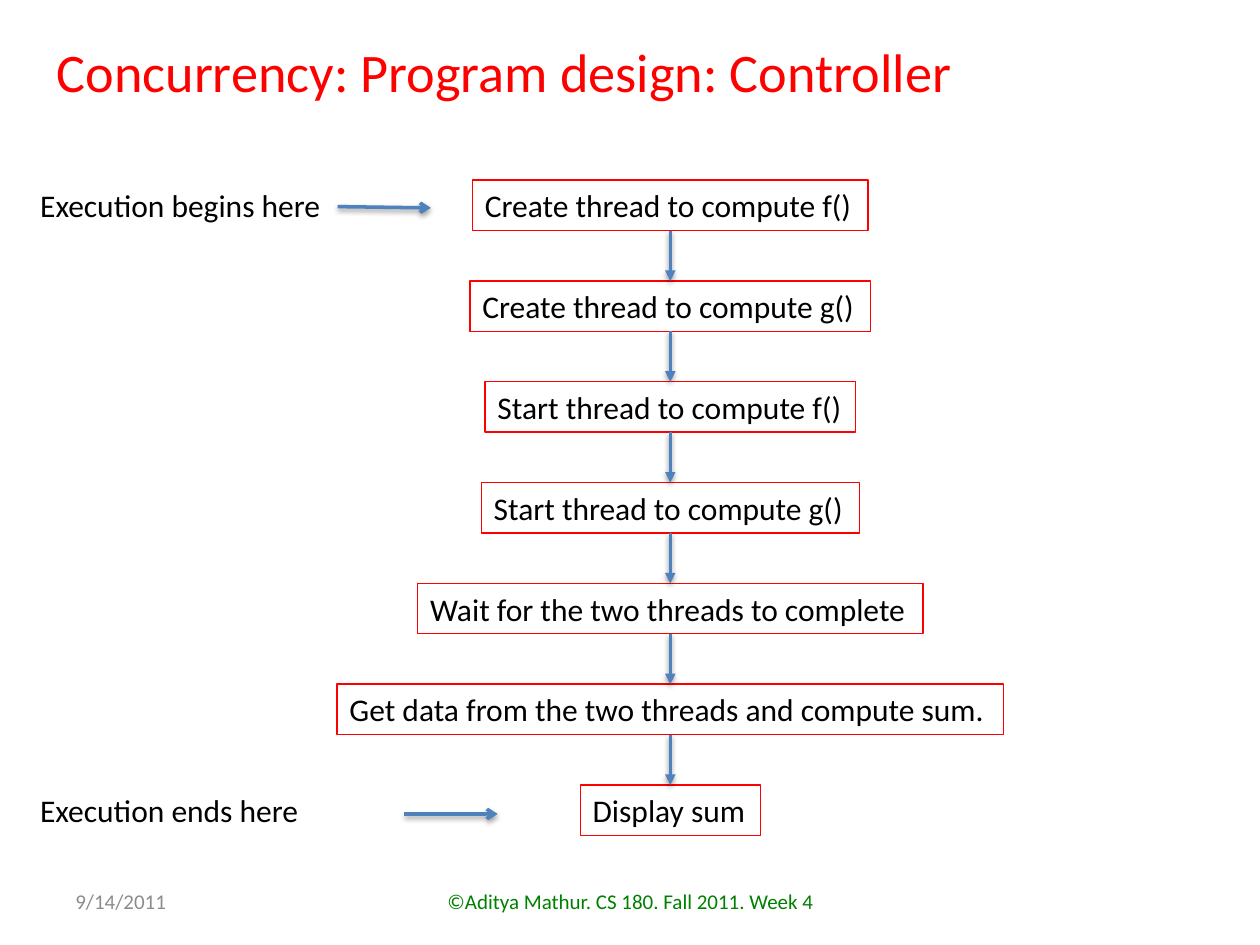
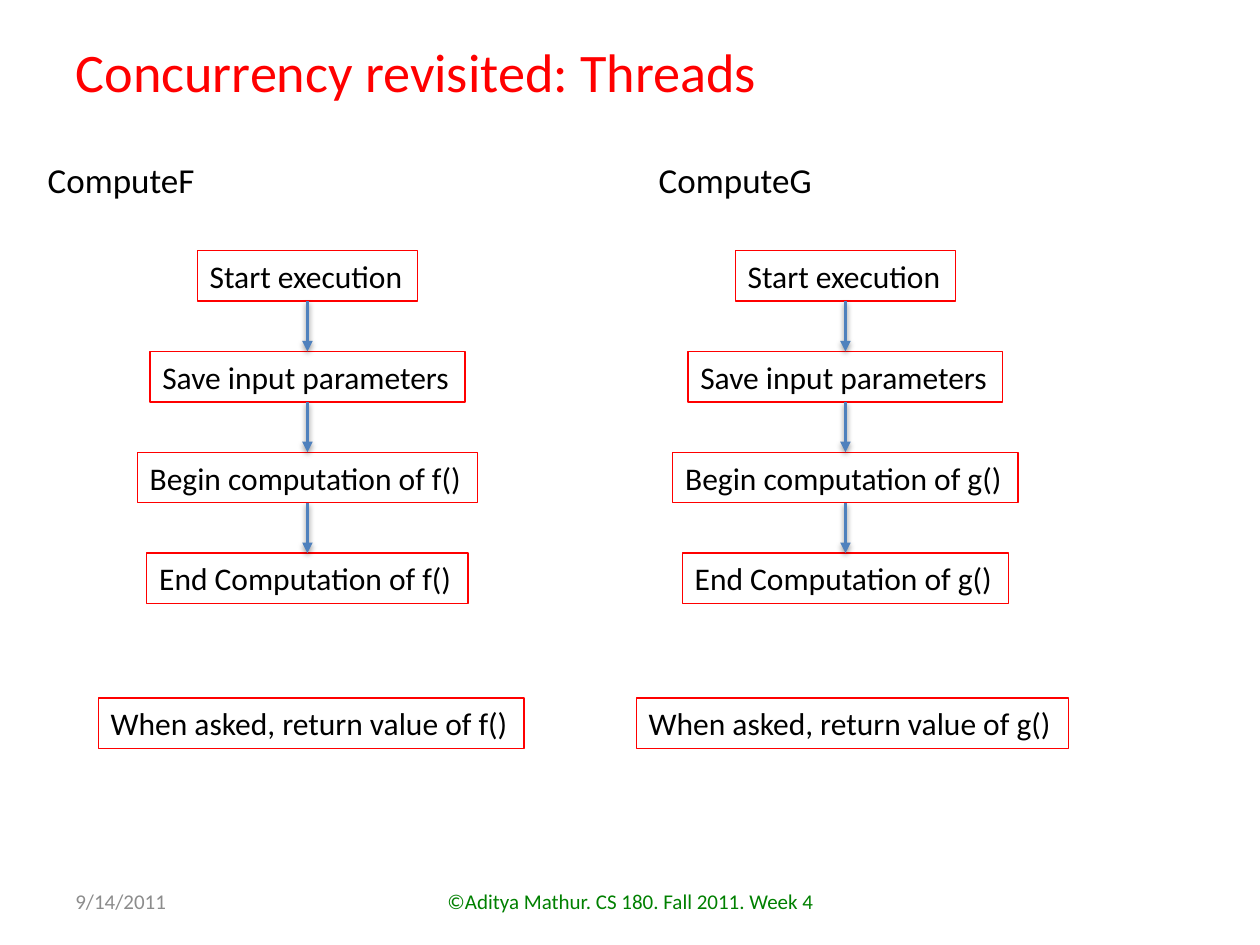
from lxml import etree
from pptx import Presentation
from pptx.dml.color import RGBColor
from pptx.enum.shapes import MSO_CONNECTOR
from pptx.enum.text import MSO_ANCHOR, PP_ALIGN
from pptx.oxml import parse_xml
from pptx.oxml.ns import nsdecls, qn
from pptx.util import Inches, Pt

RED = RGBColor(0xFF, 0x00, 0x00)
BLACK = RGBColor(0x00, 0x00, 0x00)
GRAY = RGBColor(0x8C, 0x8C, 0x8C)
GREEN = RGBColor(0x00, 0x80, 0x00)
BLUE = RGBColor(0x4F, 0x81, 0xBD)
FONT = "Calibri"

BOX_HEIGHT = 0.4
STEP = 0.8  # from the top of one box to the top of the next

SHADOW = (
    f'<a:effectLst {nsdecls("a")}>'
    '<a:outerShdw blurRad="39370" dist="20320" dir="5400000" rotWithShape="0">'
    '<a:srgbClr val="000000"><a:alpha val="38000"/></a:srgbClr>'
    '</a:outerShdw></a:effectLst>'
)


def write(tf, text, size, color, align=PP_ALIGN.LEFT, anchor=MSO_ANCHOR.TOP):
    """Put one formatted run into a text frame."""
    tf.word_wrap = True
    tf.vertical_anchor = anchor
    p = tf.paragraphs[0]
    p.alignment = align
    r = p.add_run()
    r.text = text
    r.font.name = FONT
    r.font.size = Pt(size)
    r.font.color.rgb = color


def add_label(s, text, left, top, width, height=BOX_HEIGHT, size=18,
              color=BLACK, **layout):
    """Add a text box and return it."""
    sp = s.shapes.add_textbox(Inches(left), Inches(top), Inches(width), Inches(height))
    write(sp.text_frame, text, size, color, **layout)
    return sp


def add_box(s, text, left, top, width):
    """Add a red-outlined step of a flow."""
    sp = add_label(s, text, left, top, width)
    sp.line.color.rgb = RED
    sp.line.width = Pt(0.75)


def add_arrow(s, x1, y1, x2, y2, head="triangle"):
    """Add a blue arrow with a soft shadow."""
    cxn = s.shapes.add_connector(
        MSO_CONNECTOR.STRAIGHT, Inches(x1), Inches(y1), Inches(x2), Inches(y2))
    cxn.line.color.rgb = BLUE
    cxn.line.width = Pt(2)
    etree.SubElement(cxn.line._get_or_add_ln(), qn("a:tailEnd"), type=head)
    cxn._element.spPr.append(parse_xml(SHADOW))


def add_flow(s, center, top, steps):
    """Stack centred (text, width) boxes and join them with arrows."""
    for i, (text, width) in enumerate(steps):
        y = top + i * STEP
        add_box(s, text, center - width / 2, y, width)
        if i:
            add_arrow(s, center, y - STEP + BOX_HEIGHT, center, y)


def add_slide(prs, title, title_left):
    """Add a slide with its title, date and footer."""
    s = prs.slides.add_slide(prs.slide_layouts[5])
    sp = s.shapes.title
    sp.left, sp.top = Inches(title_left), Inches(0.25)
    sp.width, sp.height = Inches(9.05), Inches(0.93)
    write(sp.text_frame, title, 31, RED)
    add_label(s, "9/14/2011", 0.5, 6.95, 2.33, size=12, color=GRAY,
              anchor=MSO_ANCHOR.MIDDLE)
    add_label(s, "©Aditya Mathur. CS 180. Fall 2011. Week 4", 3.42, 6.95, 3.17,
              size=12, color=GREEN, align=PP_ALIGN.CENTER, anchor=MSO_ANCHOR.MIDDLE)
    return s


def build_controller(prs):
    """Slide 1: the steps of the controller."""
    s = add_slide(prs, "Concurrency: Program design: Controller", 0.35)
    add_flow(s, 5.32, 1.43, [
        ("Create thread to compute f()", 3.14),
        ("Create thread to compute g()", 3.18),
        ("Start thread to compute f()", 2.94),
        ("Start thread to compute g()", 3),
        ("Wait for the two threads to complete", 4.01),
        ("Get data from the two threads and compute sum.", 5.29),
        ("Display sum", 1.43),
    ])
    add_label(s, "Execution begins here", 0.22, 1.43, 2.45)
    add_arrow(s, 2.68, 1.64, 3.42, 1.65, head="arrow")
    add_label(s, "Execution ends here", 0.22, 6.23, 2.27)
    add_arrow(s, 3.21, 6.46, 3.95, 6.46, head="arrow")


def build_threads(prs):
    """Slide 2: the two threads side by side."""
    s = add_slide(prs, "Concurrency revisited: Threads", 0.5)
    # name, heading left, flow centre, widths of the last three boxes
    threads = [
        ("f", 0.28, 2.44, (2.7, 2.55, 3.38)),
        ("g", 5.13, 6.71, (2.74, 2.59, 3.43)),
    ]
    for name, left, center, (begin, end, answer) in threads:
        add_label(s, f"Compute{name.upper()}", left, 1.21, 1.43, 0.44, size=20)
        add_flow(s, center, 1.99, [
            ("Start execution", 1.75),
            ("Save input parameters", 2.5),
            (f"Begin computation of {name}()", begin),
            (f"End Computation of {name}()", end),
        ])
        add_box(s, f"When asked, return value of {name}()", center - 1.66, 5.54, answer)


def main():
    """Build and save the presentation."""
    prs = Presentation()
    prs.slide_width, prs.slide_height = Inches(10), Inches(7.5)
    build_controller(prs)
    build_threads(prs)
    prs.save("out.pptx")


main()
